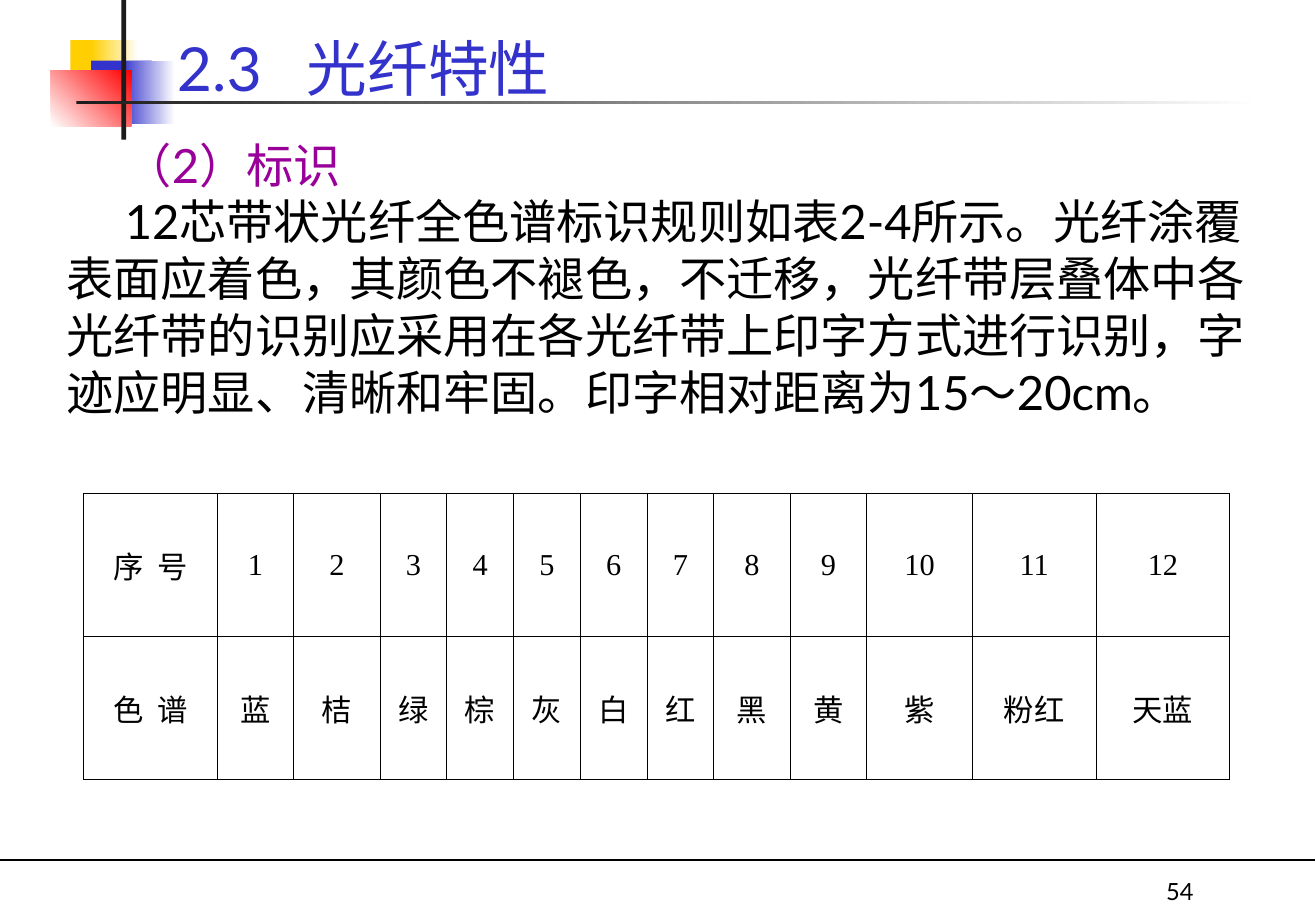
from dataclasses import dataclass
from lxml import etree
from pptx import Presentation
from pptx.dml.color import RGBColor
from pptx.enum.shapes import MSO_CONNECTOR, MSO_SHAPE
from pptx.enum.text import MSO_ANCHOR, MSO_AUTO_SIZE, PP_ALIGN
from pptx.oxml.ns import qn
from pptx.util import Inches, Pt

RECT = MSO_SHAPE.RECTANGLE
LINE = MSO_CONNECTOR.STRAIGHT
TOP, MID, LOW = MSO_ANCHOR.TOP, MSO_ANCHOR.MIDDLE, MSO_ANCHOR.BOTTOM
LEFT, MIDST, RIGHT = PP_ALIGN.LEFT, PP_ALIGN.CENTER, PP_ALIGN.RIGHT
GROW = MSO_AUTO_SIZE.SHAPE_TO_FIT_TEXT


@dataclass(frozen=True)
class Theme:
    ink: str = "000000"
    bar: str = "1C1C1C"
    blue: str = "3333CC"
    gold: str = "FFCF01"
    red: str = "FF0000"
    plum: str = "990099"
    white: str = "FFFFFF"
    sans: str = "Lato"
    serif: str = "Times New Roman"
    head: float = 36
    body: float = 28
    cell: float = 18
    foot: float = 14
    rule: float = 0.75
    grid: float = 0.45


class Deck:
    def __init__(self, slide, theme):
        self.slide = slide
        self.theme = theme

    def block(self, box, *tones, angle=0):
        shape = self.slide.shapes.add_shape(RECT, *map(Inches, box))
        shape.shadow.inherit = False
        shape.line.fill.background()
        fill = shape.fill
        if len(tones) == 1:
            fill.solid()
            fill.fore_color.rgb = RGBColor.from_string(tones[0])
            return
        fill.gradient()
        fill.gradient_angle = angle
        for stop, tone in zip(fill.gradient_stops, tones):
            stop.color.rgb = RGBColor.from_string(tone)

    def line(self, *ends):
        rule = self.slide.shapes.add_connector(LINE, *map(Inches, ends))
        rule.line.color.rgb = RGBColor.from_string(self.theme.ink)
        rule.line.width = Pt(self.theme.rule)
        etree.SubElement(rule._element.spPr, qn("a:effectLst"))

    def run(self, para, text, size, tone, face):
        run = para.add_run()
        run.text = text
        run.font.size = Pt(size)
        run.font.name = face
        run.font.color.rgb = RGBColor.from_string(tone)
        return run

    def text(self, box, paras, size, anchor=TOP, align=LEFT,
             indent=0, tab=None, grow=False):
        frame = self.slide.shapes.add_textbox(*map(Inches, box)).text_frame
        frame.word_wrap = True
        frame.vertical_anchor = anchor
        if grow:
            frame.auto_size = GROW
        for i, (words, tone) in enumerate(paras):
            para = frame.add_paragraph() if i else frame.paragraphs[0]
            para.alignment = align
            props = para._p.get_or_add_pPr()
            if indent:
                props.set("indent", str(Inches(indent)))
            if tab:
                stops = etree.SubElement(props, qn("a:tabLst"))
                etree.SubElement(stops, qn("a:tab"),
                                 pos=str(Inches(tab)), algn="l")
            self.run(para, words, size, tone, self.theme.sans)

    def edge(self, cell):
        props = cell._tc.get_or_add_tcPr()
        for i, side in enumerate(("lnL", "lnR", "lnT", "lnB")):
            line = etree.Element(qn("a:" + side),
                                 w=str(Pt(self.theme.grid)))
            fill = etree.SubElement(line, qn("a:solidFill"))
            etree.SubElement(fill, qn("a:srgbClr"), val=self.theme.ink)
            props.insert(i, line)

    def table(self, box, wide, rows):
        look = self.theme
        frame = self.slide.shapes.add_table(
            len(rows), len(wide), *map(Inches, box))
        table = frame.table
        table.first_row = table.horz_banding = False
        for col, width in zip(table.columns, wide):
            col.width = Inches(width)
        for r, row in enumerate(rows):
            table.rows[r].height = Inches(box[3] / len(rows))
            for c, words in enumerate(row):
                cell = table.cell(r, c)
                cell.fill.background()
                cell.vertical_anchor = MID
                self.edge(cell)
                para = cell.text_frame.paragraphs[0]
                para.alignment = MIDST
                first, gap, last = words.partition(" ")
                for part in filter(None, (first, gap, last)):
                    run = self.run(para, part, look.cell, look.ink, look.serif)
                    if part == " ":
                        run._r.get_or_add_rPr().set("spc", "450")


def main():
    show = Presentation()
    show.slide_width, show.slide_height = Inches(10.84), Inches(7.5)
    look = Theme()
    deck = Deck(show.slides.add_slide(show.slide_layouts[6]), look)

    deck.block((0.58, 0.33, 0.52, 0.52), look.gold)
    deck.block((0.75, 0.33, 0.39, 0.52), look.gold, look.white)
    deck.block((0.75, 0.5, 0.5, 0.52), look.blue)
    deck.block((1, 0.5, 0.44, 0.52), look.blue, look.white)
    deck.block((0.42, 0.58, 0.66, 0.46), look.white, look.red, angle=45)
    deck.block((1, 0, 0.04, 1.15), look.bar)
    deck.block((0.63, 0.83, 9.75, 0.03), look.bar, look.white)
    deck.line(0, 7.08, 10.83, 7.08)

    deck.text((7.92, 7, 2.01, 0.5), [("54", look.ink)], look.foot,
              anchor=LOW, align=RIGHT)
    deck.text((1.36, -0.35, 9.23, 1.25), [("2.3\t光纤特性", look.blue)],
              look.head, anchor=LOW, tab=1.07)
    rule = (
        "12芯带状光纤全色谱标识规则如表2-4所示。光纤涂覆表面应着色，"
        "其颜色不褪色，不迁移，光纤带层叠体中各光纤带的识别应采用在各"
        "光纤带上印字方式进行识别，字迹应明显、清晰和牢固。"
        "印字相对距离为15～20cm。"
    )
    deck.text((0.45, 1.07, 10, 2.44),
              [("（2）标识", look.plum), (rule, look.ink)],
              look.body, indent=0.48, grow=True)

    hues = "蓝 桔 绿 棕 灰 白 红 黑 黄 紫 粉红 天蓝".split()
    nums = [str(n + 1) for n in range(len(hues))]
    wide = [1.1, 0.63, 0.71, *[0.55] * 5, 0.63, 0.63, 0.87, 1.02, 1.1]
    deck.table((0.69, 4.06, 9.45, 2.36), wide,
               [["序 号", *nums], ["色 谱", *hues]])
    show.save("out.pptx")


if __name__ == "__main__":
    main()
